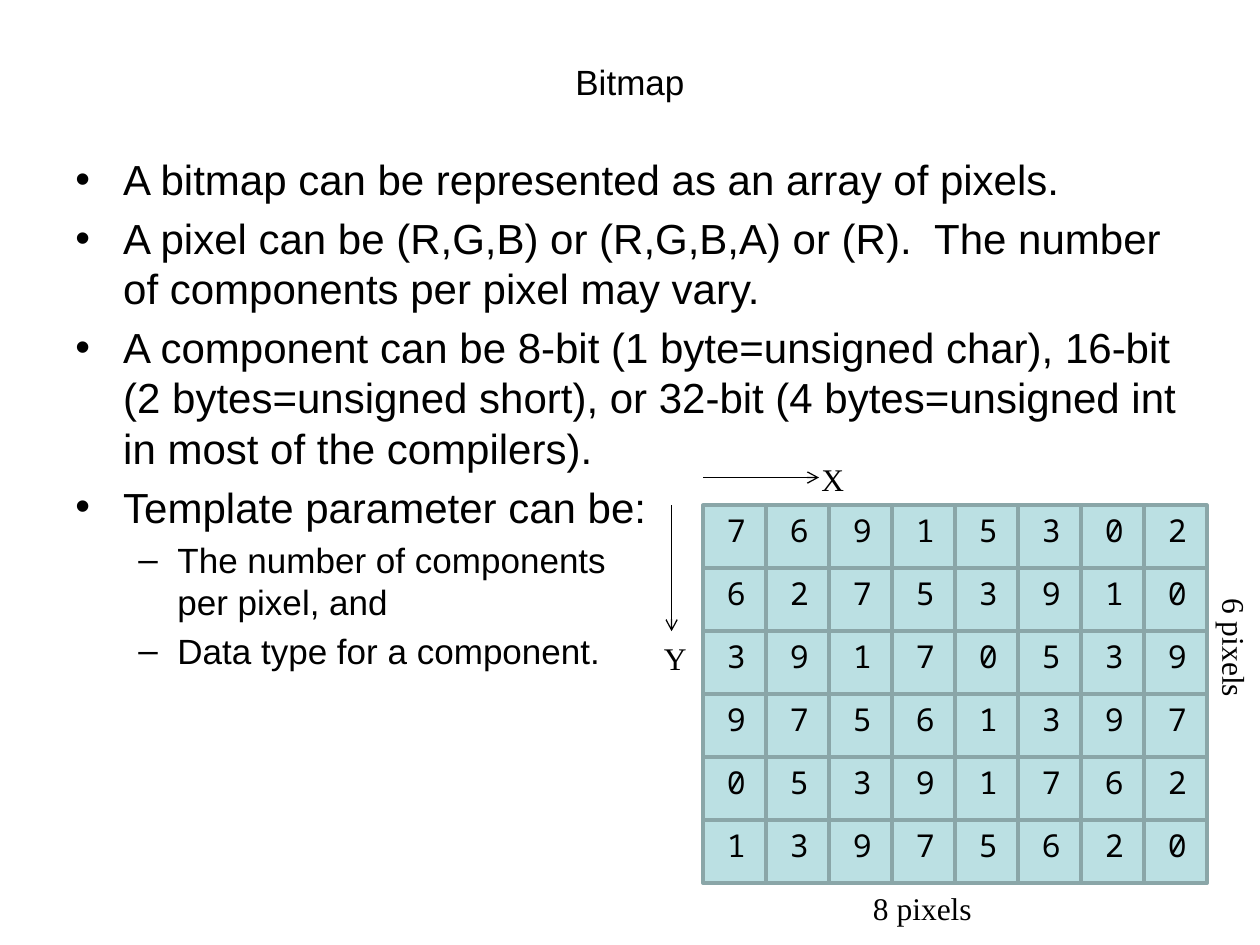
from lxml import etree
from pptx import Presentation
from pptx import util as u
from pptx.dml.color import RGBColor
from pptx.enum import shapes, text
from pptx.oxml import ns

BLACK = RGBColor(0x00, 0x00, 0x00)
PIXEL_FILL = RGBColor(0xBB, 0xE0, 0xE3)
PIXEL_EDGE = RGBColor(0x8A, 0xA6, 0xA8)
SANS, SERIF, MONO = "Arial", "Times New Roman", "Noto Sans Mono"

CELL = 0.5  # side of one pixel square, in inches
PIXELS = ["76915302", "62753910", "39170539", "97561397", "05391762", "13975620"]

# Level, then the lines of each bullet
BULLETS = [
    (0, ["A bitmap can be represented as an array of pixels."]),
    (0, ["A pixel can be (R,G,B) or (R,G,B,A) or (R).  The number of components per pixel may vary."]),
    (0, ["A component can be 8-bit (1 byte=unsigned char), 16-bit (2 bytes=unsigned short), "
         "or 32-bit (4 bytes=unsigned int in most of the compilers)."]),
    (0, ["Template parameter can be:"]),
    (1, ["The number of components ", "per pixel, and"]),
    (1, ["Data type for a component."]),
]
# Bullet sign, text size, left indent, hanging indent
LEVELS = [("•", 24, 0.38, 0.38), ("–", 20, 0.81, 0.31)]


def inches(*lengths):
    return [u.Inches(length) for length in lengths]


def add_frame(slide, box):
    textbox = slide.shapes.add_textbox(*inches(*box))
    textbox.text_frame.word_wrap = True
    return textbox


def add_run(paragraph, words, size, font):
    run = paragraph.add_run()
    run.text = words
    run.font.size = u.Pt(size)
    run.font.name = font
    run.font.color.rgb = BLACK


def add_label(slide, box, words, font=SERIF):
    label = add_frame(slide, box)
    add_run(label.text_frame.paragraphs[0], words, 18, font)
    return label


def add_title(slide, box):
    frame = add_frame(slide, box).text_frame
    frame.vertical_anchor = text.MSO_ANCHOR.MIDDLE
    heading = frame.paragraphs[0]
    heading.alignment = text.PP_ALIGN.CENTER
    add_run(heading, "Bitmap", 20, SANS)


def add_bullets(slide, box):
    frame = add_frame(slide, box).text_frame
    for index, (level, lines) in enumerate(BULLETS):
        sign, size, left, hanging = LEVELS[level]
        bullet = frame.add_paragraph() if index else frame.paragraphs[0]
        bullet.level = level
        bullet.space_before = u.Pt(0.2 * size)
        props = bullet._p.get_or_add_pPr()
        props.set("marL", str(u.Inches(left)))
        props.set("indent", str(-u.Inches(hanging)))
        etree.SubElement(props, ns.qn("a:buFont"), typeface=SANS)
        etree.SubElement(props, ns.qn("a:buChar"), char=sign)
        for number, line in enumerate(lines):
            if number:
                bullet.add_line_break()
            add_run(bullet, line, size, SANS)


def add_arrow(slide, start, end):
    arrow = slide.shapes.add_connector(
        shapes.MSO_CONNECTOR.STRAIGHT, *inches(*start, *end))
    arrow.line.color.rgb = BLACK
    arrow.line.width = u.Pt(0.75)
    etree.SubElement(arrow.line._get_or_add_ln(), ns.qn("a:tailEnd"), type="arrow")
    etree.SubElement(arrow._element.spPr, ns.qn("a:effectLst"))


def add_pixel(slide, left, top, value):
    square = slide.shapes.add_shape(
        shapes.MSO_SHAPE.RECTANGLE, *inches(left, top, CELL, CELL))
    square.shadow.inherit = False
    square.fill.solid()
    square.fill.fore_color.rgb = PIXEL_FILL
    square.line.color.rgb = PIXEL_EDGE
    square.line.width = u.Pt(2)
    add_label(slide, (left + 0.09, top, 0.33, 0.4), value, MONO)


def add_bitmap(slide, left, top):
    width, height = len(PIXELS[0]) * CELL, len(PIXELS) * CELL
    for row, values in enumerate(PIXELS):
        for column, value in enumerate(values):
            add_pixel(slide, left + column * CELL, top + row * CELL, value)

    # Dimensions
    add_label(slide, (left + 1.25, top + height, 1.58, 0.4), "8 pixels")
    side = add_label(slide, (left + width - 0.57, top + 1.23, 1.58, 0.4), "6 pixels")
    side.rotation = 90

    # Axes
    add_arrow(slide, (left, top - 0.22), (left + 0.92, top - 0.22))
    add_arrow(slide, (left - 0.25, top), (left - 0.25, top + 2 * CELL))
    add_label(slide, (left + 0.84, top - 0.41, 0.42, 0.4), "X")
    add_label(slide, (left - 0.41, top + 1.01, 0.33, 0.4), "Y")


def main():
    deck = Presentation()
    deck.slide_width, deck.slide_height = inches(10, 7.5)
    slide = deck.slides.add_slide(deck.slide_layouts[6])
    add_title(slide, (0.5, 0.3, 9, 0.7))
    add_bullets(slide, (0.5, 1.17, 9.1, 5.53))
    add_bitmap(slide, 5.58, 4.01)
    deck.save("out.pptx")


if __name__ == "__main__":
    main()
